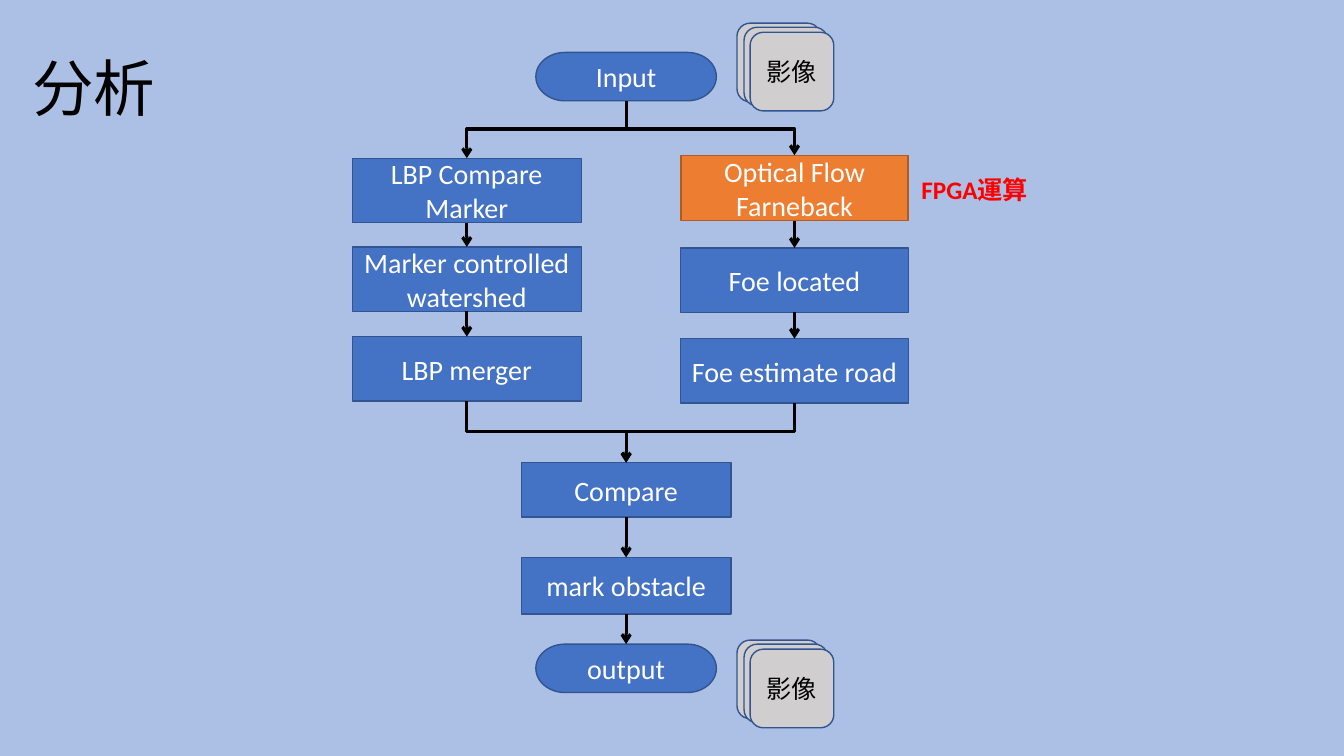
from lxml import etree
from pptx import Presentation
from pptx.dml.color import RGBColor
from pptx.enum.shapes import MSO_CONNECTOR, MSO_SHAPE
from pptx.enum.text import MSO_ANCHOR, PP_ALIGN
from pptx.oxml.ns import qn
from pptx.util import Inches, Pt

SKY = RGBColor(0xAB, 0xC0, 0xE4)
BLUE = RGBColor(0x44, 0x72, 0xC4)
NAVY = RGBColor(0x32, 0x54, 0x91)
ORANGE = RGBColor(0xED, 0x7D, 0x31)
BROWN = RGBColor(0xAF, 0x5C, 0x24)
GRAY = RGBColor(0xD0, 0xCE, 0xCE)
RED = RGBColor(0xFF, 0x00, 0x00)
BLACK = RGBColor(0x00, 0x00, 0x00)
WHITE = RGBColor(0xFF, 0xFF, 0xFF)

MID, LEFT, RIGHT = 6.21, 4.63, 7.88  # centre lines of the flow


def write(frame, text, size, color, align=PP_ALIGN.CENTER, font="Calibri"):
    frame.word_wrap = True
    frame.text = text
    for par in frame.paragraphs:
        par.alignment = align
        par.font.name = font
        par.font.size = Pt(size)
        par.font.color.rgb = color


def add_box(slide, kind, x, y, w, h, fill, edge):
    box = slide.shapes.add_shape(kind, Inches(x), Inches(y), Inches(w), Inches(h))
    box.shadow.inherit = False
    box.fill.solid()
    box.fill.fore_color.rgb = fill
    box.line.color.rgb = edge
    box.line.width = Pt(1)
    box.text_frame.vertical_anchor = MSO_ANCHOR.MIDDLE
    return box


def add_step(slide, text, mid, y, w, h, kind=MSO_SHAPE.FLOWCHART_PROCESS,
             fill=BLUE, edge=NAVY):
    """Add a flow step centred on the line x = mid."""
    box = add_box(slide, kind, mid - w / 2, y, w, h, fill, edge)
    write(box.text_frame, text, 20, WHITE)


def add_stack(slide, y):
    """Add three overlapping cards, the front one labelled."""
    for dx, dy in ((0, 0), (0.07, 0.04), (0.13, 0.09)):
        card = add_box(slide, MSO_SHAPE.ROUNDED_RECTANGLE,
                       7.31 + dx, y + dy, 0.83, 0.78, GRAY, NAVY)
    write(card.text_frame, "影像", 18, BLACK)


def add_label(slide, text, x, y, w, h, size, color, font="Calibri"):
    box = slide.shapes.add_textbox(Inches(x), Inches(y), Inches(w), Inches(h))
    write(box.text_frame, text, size, color, PP_ALIGN.LEFT, font)
    return box.text_frame


def add_arrow(slide, kind, x1, y1, x2, y2):
    arrow = slide.shapes.add_connector(
        kind, Inches(x1), Inches(y1), Inches(x2), Inches(y2))
    arrow.line.color.rgb = BLACK
    arrow.line.width = Pt(2.25)
    line = arrow.line._get_or_add_ln()
    etree.SubElement(line, qn("a:tailEnd"), type="arrow")
    etree.SubElement(arrow._element.spPr, qn("a:effectLst"))
    return arrow


def add_drop(slide, x, y1, y2):
    add_arrow(slide, MSO_CONNECTOR.STRAIGHT, x, y1, x, y2)


def add_elbow(slide, x1, y1, x2, y2, bend):
    """Add an arrow that runs down, across at y = bend, then down."""
    w, h = y2 - y1, abs(x2 - x1)
    x, y = (x1 + x2 - w) / 2, (y1 + y2 - h) / 2
    arrow = add_arrow(slide, MSO_CONNECTOR.ELBOW, x, y, x + w, y + h)
    form = arrow._element.spPr.find(qn("a:xfrm"))
    form.set("rot", str((90 if x2 < x1 else 270) * 60000))
    if x2 > x1:
        form.set("flipH", "1")
    geom = arrow._element.spPr.find(qn("a:prstGeom"))
    ratio = round((bend - y1) / w * 100000)
    etree.SubElement(geom.find(qn("a:avLst")), qn("a:gd"),
                     name="adj1", fmla=f"val {ratio}")


def main():
    deck = Presentation()
    deck.slide_width, deck.slide_height = Inches(13.33), Inches(7.5)
    slide = deck.slides.add_slide(deck.slide_layouts[6])
    slide.background.fill.solid()
    slide.background.fill.fore_color.rgb = SKY

    title = add_label(slide, "分析", 0.22, 0.18, 1.93, 1.45, 44, BLACK,
                      "Noto Sans CJK SC")
    title.vertical_anchor = MSO_ANCHOR.MIDDLE
    title.paragraphs[0].line_spacing = 0.9

    for text, y in (("Input", 0.52), ("output", 6.39)):
        add_step(slide, text, MID, y, 1.79, 0.48, MSO_SHAPE.FLOWCHART_TERMINATOR)
    for text, y in (("LBP Compare Marker", 1.57),
                    ("Marker controlled\nwatershed", 2.45),
                    ("LBP merger", 3.34)):
        add_step(slide, text, LEFT, y, 2.27, 0.64)
    add_step(slide, "Optical Flow Farneback", RIGHT, 1.54, 2.25, 0.65,
             fill=ORANGE, edge=BROWN)
    for text, y in (("Foe located", 2.46), ("Foe estimate road", 3.36)):
        add_step(slide, text, RIGHT, y, 2.26, 0.64)
    add_step(slide, "Compare", MID, 4.59, 2.08, 0.54, MSO_SHAPE.RECTANGLE)
    add_step(slide, "mark obstacle", MID, 5.53, 2.08, 0.56)

    for x, y1, y2 in ((LEFT, 2.21, 2.45), (LEFT, 3.09, 3.34),
                      (RIGHT, 2.19, 2.46), (RIGHT, 3.1, 3.36),
                      (MID, 5.13, 5.53), (MID, 6.09, 6.39)):
        add_drop(slide, x, y1, y2)
    for x, top, end in ((LEFT, 1.57, 3.98), (RIGHT, 1.54, 4)):
        add_elbow(slide, MID, 1, x, top, 1.28)
        add_elbow(slide, x, end, MID, 4.59, 4.28)

    note = add_label(slide, "FPGA運算", 9.04, 1.68, 1.27, 0.4, 18, RED)
    note.paragraphs[0].font.bold = True
    for y in (0.23, 6.35):
        add_stack(slide, y)
    deck.save("out.pptx")


if __name__ == "__main__":
    main()
